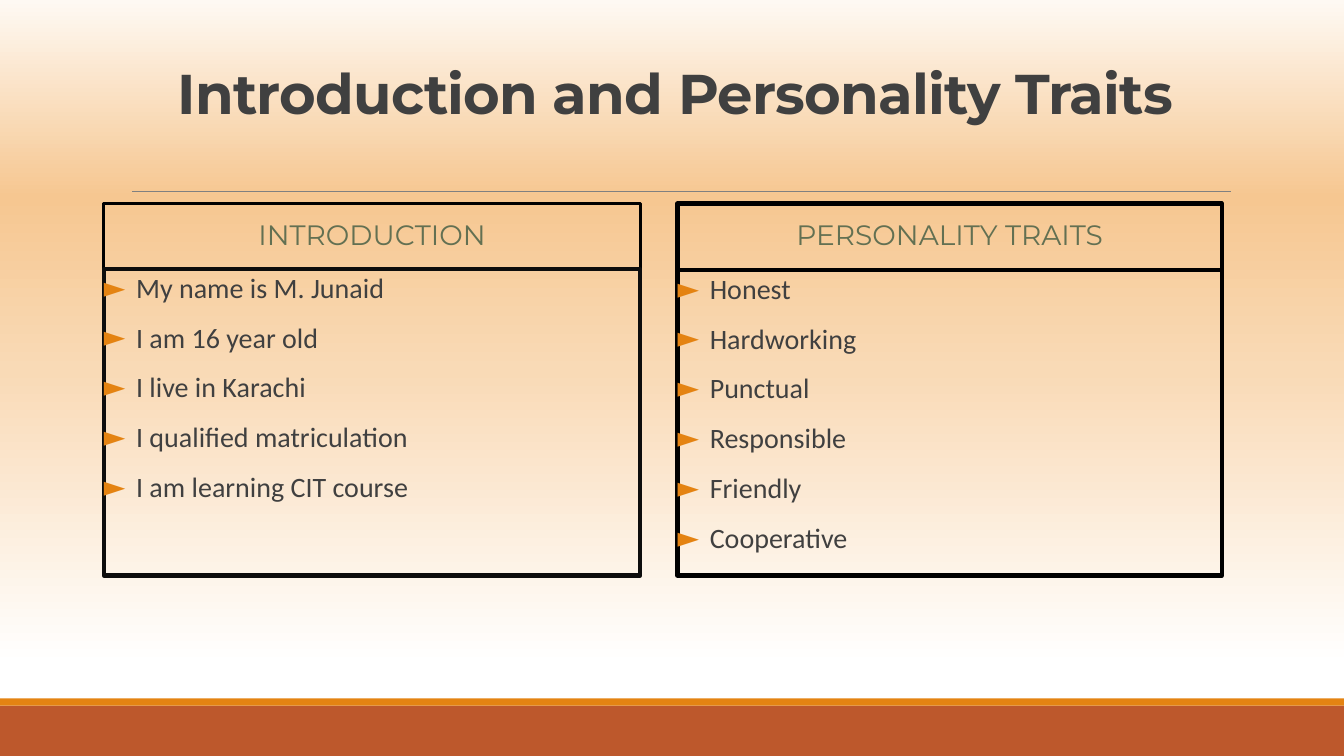
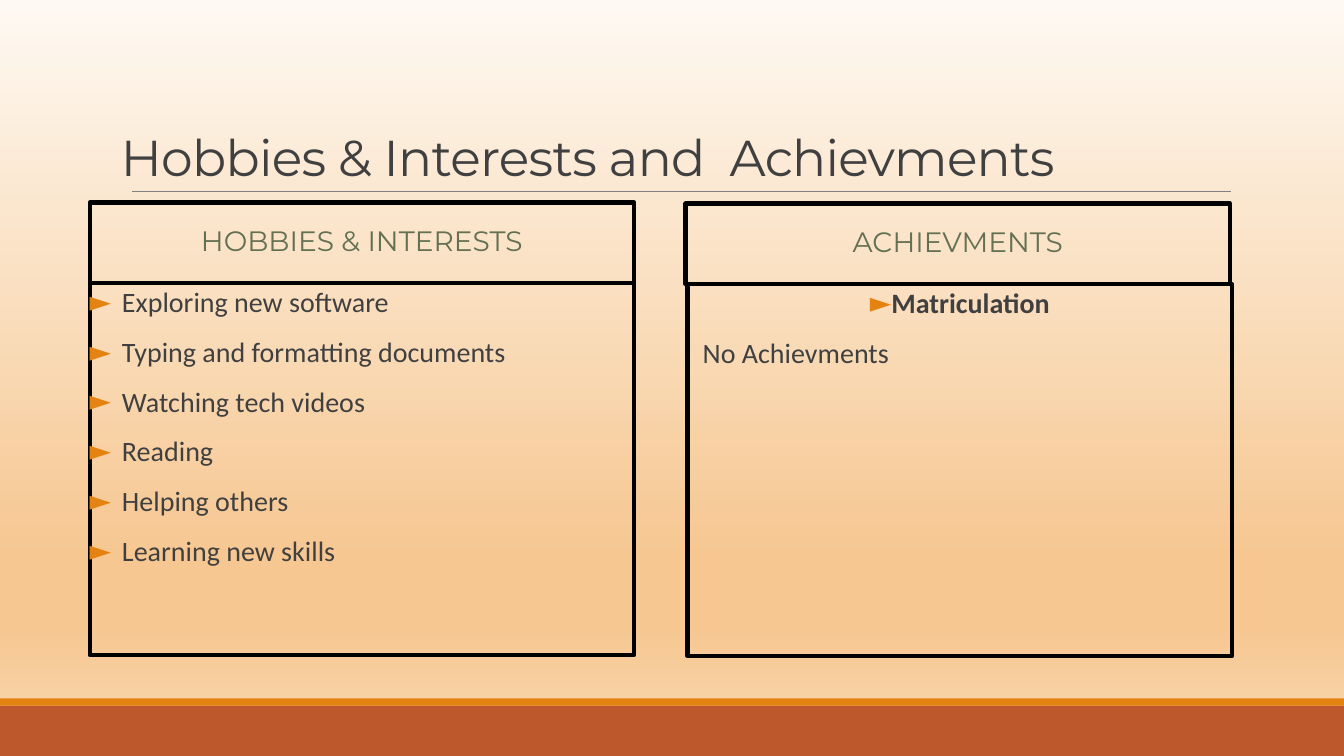
from dataclasses import dataclass

import lxml.etree
import pptx
import pptx.dml.color
import pptx.enum.shapes
import pptx.enum.text
import pptx.oxml.ns
import pptx.util

Inches, Pt = pptx.util.Inches, pptx.util.Pt
RGB = pptx.dml.color.RGBColor.from_string
qn = pptx.oxml.ns.qn
ALIGN = pptx.enum.text.PP_ALIGN
ANCHOR = pptx.enum.text.MSO_ANCHOR
RECTANGLE = pptx.enum.shapes.MSO_SHAPE.RECTANGLE


@dataclass(frozen=True)
class Theme:
    heading_font: str = "Montserrat"
    body_font: str = "Calibri"
    text: str = "404040"
    heading: str = "637052"
    accent: str = "E48312"
    footer: str = "BD582C"
    rule: str = "808080"
    frame: str = "000000"
    soft_frame: str = "0D0D0D"
    cream: str = "FEF9F3"
    apricot: str = "F6C791"
    peach: str = "F9DAB6"
    white: str = "FFFFFF"
    text_size: float = 20
    frame_weight: float = 3
    thin_frame_weight: float = 2.25


THEME = Theme()


@dataclass
class Panel:
    heading: str
    items: list
    left: float
    top: float
    heading_height: float
    list_height: float
    width: float = 5.4
    list_shift: float = 0
    heading_weight: float = THEME.frame_weight
    list_frame: str = THEME.frame


# Item styles: (left margin, first-line indent, alignment, bold, bullet)
ITEM_STYLES = {
    "bullet": (0.32, -0.32, ALIGN.LEFT, False, True),
    "award": (0.1, -0.1, ALIGN.CENTER, True, True),
    "remark": (0.15, 0, ALIGN.LEFT, False, False),
}


def bullets(*texts):
    return [(text, "bullet") for text in texts]


SLIDES = [
    {
        "title": "Introduction and Personality Traits",
        "title_box": (1.2, 0.27, 11, 1.03),
        "title_format": (40, True, ALIGN.CENTER),
        "gradient": [(0, THEME.cream), (26, THEME.apricot),
                     (49, THEME.peach), (88, THEME.white)],
        "panels": [
            Panel("INTRODUCTION",
                  bullets("My name is M. Junaid", "I am 16 year old",
                          "I live in Karachi", "I qualified matriculation",
                          "I am learning CIT course"),
                  1.03, 2.02, 0.65, 3.04, width=5.32,
                  heading_weight=THEME.thin_frame_weight,
                  list_frame=THEME.soft_frame),
            Panel("PERSONALITY TRAITS",
                  bullets("Honest", "Hardworking", "Punctual",
                          "Responsible", "Friendly", "Cooperative"),
                  6.72, 2.02, 0.66, 3.03),
        ],
    },
    {
        "title": "Hobbies & Interests and  Achievments",
        "title_box": (1.1, 0.31, 11.39, 1.59),
        "title_format": (36, False, ALIGN.LEFT),
        "gradient": [(0, THEME.cream), (74, THEME.apricot),
                     (83, THEME.apricot), (100, THEME.peach)],
        "panels": [
            Panel("HOBBIES & INTERESTS",
                  bullets("Exploring new software",
                          "Typing and formatting documents",
                          "Watching tech videos", "Reading",
                          "Helping others", "Learning new skills"),
                  0.89, 2.01, 0.8, 3.69),
            Panel("ACHIEVMENTS",
                  [("Matriculation", "award"), ("No Achievments", "remark")],
                  6.8, 2.02, 0.8, 3.69, list_shift=0.02),
        ],
    },
]

BANDS = [(7, 0.5, THEME.footer), (6.93, 0.07, THEME.accent)]


def set_background(slide, stops):
    fill = slide.background.fill
    fill.gradient()
    fill.gradient_angle = 270
    stop_list = next(slide.element.iter(qn("a:gsLst")))
    for old_stop in list(stop_list):
        stop_list.remove(old_stop)
    for percent, color in stops:
        stop = lxml.etree.SubElement(stop_list, qn("a:gs"), pos=str(percent * 1000))
        lxml.etree.SubElement(stop, qn("a:srgbClr"), val=color)


def add_box(slide, left, top, width, height):
    box = slide.shapes.add_shape(RECTANGLE, Inches(left), Inches(top),
                                 Inches(width), Inches(height))
    box.shadow.inherit = False
    return box


def add_frame(slide, left, top, width, height, color, weight):
    frame = add_box(slide, left, top, width, height)
    frame.fill.background()
    frame.line.color.rgb = RGB(color)
    frame.line.width = Pt(weight)
    frame.text_frame.word_wrap = True
    return frame.text_frame


def add_decoration(slide, slide_width):
    for top, height, color in BANDS:
        band = add_box(slide, 0, top, slide_width, height)
        band.fill.solid()
        band.fill.fore_color.rgb = RGB(color)
        band.line.fill.background()
    rule = slide.shapes.add_connector(
        pptx.enum.shapes.MSO_CONNECTOR.STRAIGHT,
        Inches(1.31), Inches(1.9), Inches(12.21), Inches(1.9))
    rule.line.color.rgb = RGB(THEME.rule)
    rule.line.width = Pt(0.5)
    lxml.etree.SubElement(rule.element.spPr, qn("a:effectLst"))


def format_runs(paragraph, font_name, size, color, bold=False):
    for run in paragraph.runs:
        run.font.name = font_name
        run.font.size = Pt(size)
        run.font.color.rgb = RGB(color)
        run.font.bold = bold


def set_title(slide, text, box, title_format):
    size, bold, alignment = title_format
    title = slide.shapes.title
    title.left, title.top, title.width, title.height = map(Inches, box)
    title.text_frame.text = text
    title.text_frame.auto_size = pptx.enum.text.MSO_AUTO_SIZE.NONE
    title.text_frame.vertical_anchor = ANCHOR.BOTTOM
    paragraph = title.text_frame.paragraphs[0]
    paragraph.alignment = alignment
    paragraph.line_spacing = 0.85
    format_runs(paragraph, THEME.heading_font, size, THEME.text, bold)
    for run in paragraph.runs:
        run.font._element.set("spc", "-50")


def set_panel_spacing(paragraph, alignment):
    paragraph.alignment = alignment
    paragraph.line_spacing = 0.9
    paragraph.space_before = Pt(12)
    paragraph.space_after = Pt(2)


def format_item(paragraph, style):
    margin, indent, alignment, bold, has_bullet = ITEM_STYLES[style]
    set_panel_spacing(paragraph, alignment)
    format_runs(paragraph, THEME.body_font, THEME.text_size, THEME.text, bold)
    properties = paragraph._p.get_or_add_pPr()
    properties.set("marL", str(Inches(margin)))
    properties.set("indent", str(Inches(indent)))
    if has_bullet:
        bullet_color = lxml.etree.SubElement(properties, qn("a:buClr"))
        lxml.etree.SubElement(bullet_color, qn("a:srgbClr"), val=THEME.accent)
        lxml.etree.SubElement(properties, qn("a:buFont"), typeface=THEME.body_font)
        lxml.etree.SubElement(properties, qn("a:buChar"), char="►")


def add_panel(slide, panel):
    heading = add_frame(slide, panel.left, panel.top, panel.width,
                        panel.heading_height, THEME.frame, panel.heading_weight)
    heading.text = panel.heading
    heading.vertical_anchor = ANCHOR.MIDDLE
    set_panel_spacing(heading.paragraphs[0], ALIGN.CENTER)
    format_runs(heading.paragraphs[0], THEME.heading_font,
                THEME.text_size, THEME.heading)

    items = add_frame(slide, panel.left + panel.list_shift,
                      panel.top + panel.heading_height, panel.width,
                      panel.list_height, panel.list_frame, THEME.frame_weight)
    items.vertical_anchor = ANCHOR.TOP
    items.margin_left = items.margin_right = 0
    items.text = "\n".join(text for text, _ in panel.items)
    for paragraph, (_, style) in zip(items.paragraphs, panel.items):
        format_item(paragraph, style)


def main():
    deck = pptx.Presentation()
    deck.slide_width, deck.slide_height = Inches(13.33), Inches(7.5)
    title_only = deck.slide_layouts[5]
    for content in SLIDES:
        slide = deck.slides.add_slide(title_only)
        set_background(slide, content["gradient"])
        add_decoration(slide, 13.33)
        set_title(slide, content["title"], content["title_box"],
                  content["title_format"])
        for panel in content["panels"]:
            add_panel(slide, panel)
    deck.save("out.pptx")


if __name__ == "__main__":
    main()
